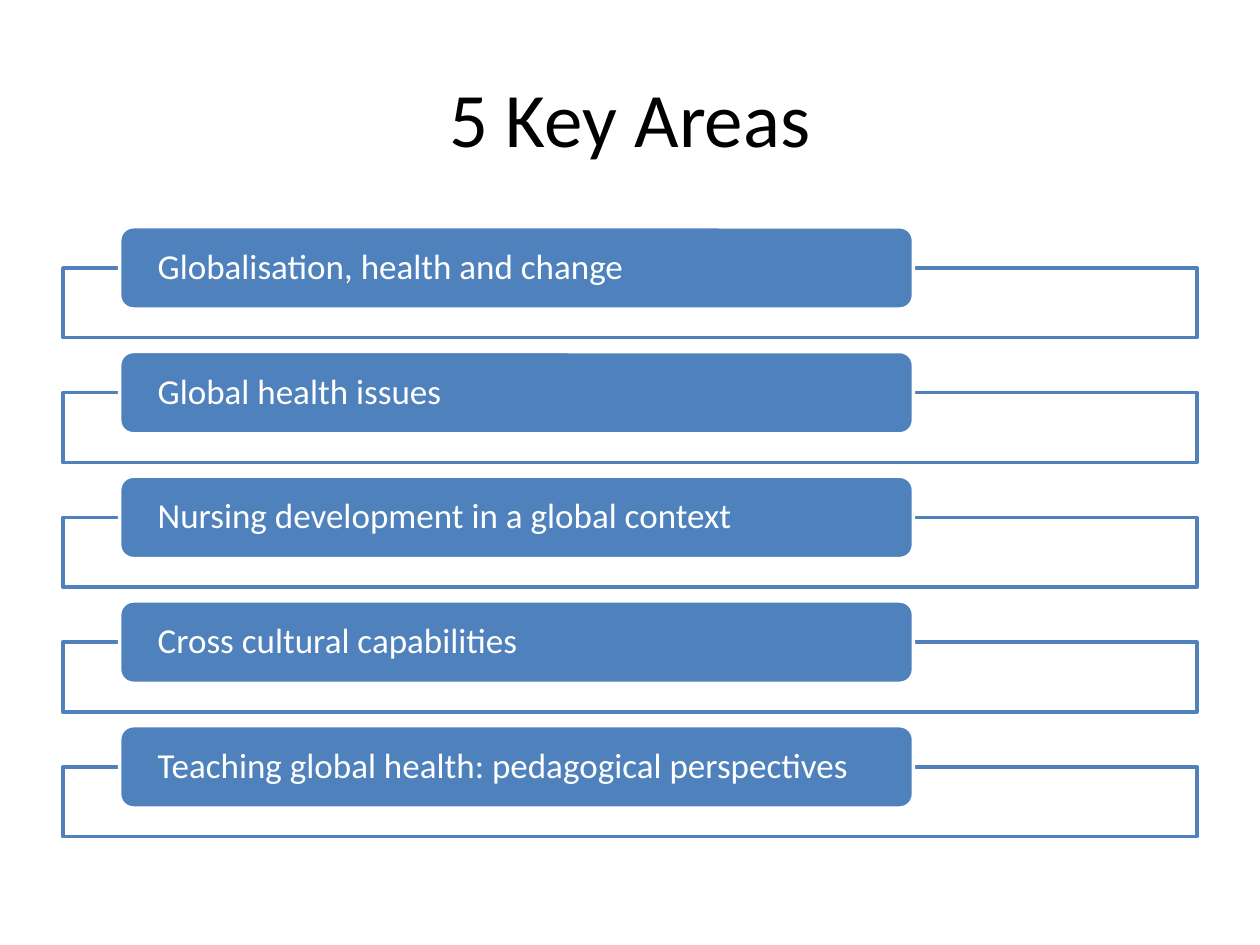
from dataclasses import dataclass

from lxml import etree
from pptx import Presentation
from pptx import util as u
from pptx.dml.color import RGBColor
from pptx.enum import shapes, text
from pptx.oxml.ns import qn


@dataclass(frozen=True)
class Theme:
    font: str = "Calibri"
    ink: str = "000000"
    paper: str = "FFFFFF"
    accent: str = "4F81BD"
    title_size: int = 44
    label_size: int = 20
    line_width: int = 2


# Grid: columns from the left edge, one row per key area (inches)
COLUMN = 0.5
FIRST_ROW = 1.8
ROW = 0.99

AREAS = [
    "Globalisation, health and change",
    "Global health issues",
    "Nursing development in a global context",
    "Cross cultural capabilities",
    "Teaching global health: pedagogical perspectives",
]


class AreaSlide:
    def __init__(self, deck, theme):
        self.theme = theme
        self.slide = deck.slides.add_slide(deck.slide_layouts[5])

    def box(self, col, row, cols, rows):
        """Turn grid units into left, top, width and height."""
        return [u.Inches(v) for v in (col * COLUMN, FIRST_ROW + row * ROW,
                                      cols * COLUMN, rows * ROW)]

    def set_text(self, frame, words, size, color, frame_format, paragraph_format):
        for name, value in frame_format.items():
            setattr(frame, name, value)
        paragraph = frame.paragraphs[0]
        for name, value in paragraph_format.items():
            setattr(paragraph, name, value)
        run = paragraph.add_run()
        run.text = words
        for name, value in {"name": self.theme.font, "size": u.Pt(size)}.items():
            setattr(run.font, name, value)
        run.font.color.rgb = RGBColor.from_string(color)

    def title(self, words, col, row, cols, rows):
        heading = self.slide.shapes.title
        places = ("left", "top", "width", "height")
        for name, value in zip(places, self.box(col, row, cols, rows)):
            setattr(heading, name, value)
        self.set_text(heading.text_frame, words, self.theme.title_size, self.theme.ink,
                      {"vertical_anchor": text.MSO_ANCHOR.MIDDLE, "word_wrap": True},
                      {"alignment": text.PP_ALIGN.CENTER})

    def panel(self, kind, fill, line, *place):
        panel = self.slide.shapes.add_shape(kind, *self.box(*place))
        panel.shadow.inherit = False
        panel.fill.solid()
        panel.fill.fore_color.rgb = RGBColor.from_string(fill)
        panel.line.color.rgb = RGBColor.from_string(line)
        panel.line.width = u.Pt(self.theme.line_width)
        return panel

    def frame(self, *place):
        outline = self.panel(shapes.MSO_SHAPE.RECTANGLE, self.theme.paper,
                             self.theme.accent, *place)
        # Fill at 90 % opacity
        color = outline.element.spPr.find(qn("a:solidFill"))[0]
        etree.SubElement(color, qn("a:alpha"), val="90000")

    def label(self, words, *place):
        tab = self.panel(shapes.MSO_SHAPE.ROUNDED_RECTANGLE, self.theme.accent,
                         self.theme.paper, *place)
        side = u.Inches(0.27)
        self.set_text(tab.text_frame, words, self.theme.label_size, self.theme.paper,
                      {"margin_left": side, "margin_right": side, "margin_top": 0,
                       "margin_bottom": 0, "word_wrap": True,
                       "vertical_anchor": text.MSO_ANCHOR.MIDDLE},
                      {"alignment": text.PP_ALIGN.LEFT, "line_spacing": 0.9})


deck = Presentation()
deck.slide_width, deck.slide_height = u.Inches(10), u.Inches(7.5)
key_areas = AreaSlide(deck, Theme())

# Heading
key_areas.title("5 Key Areas", 1, -1.5 / ROW, 18, 1.25 / ROW)

# One framed label per area
for row, area in enumerate(AREAS):
    key_areas.frame(1, row + 0.33, 18, 0.56)
    key_areas.label(area, 1.9, row, 12.6, 0.66)

deck.save("out.pptx")
